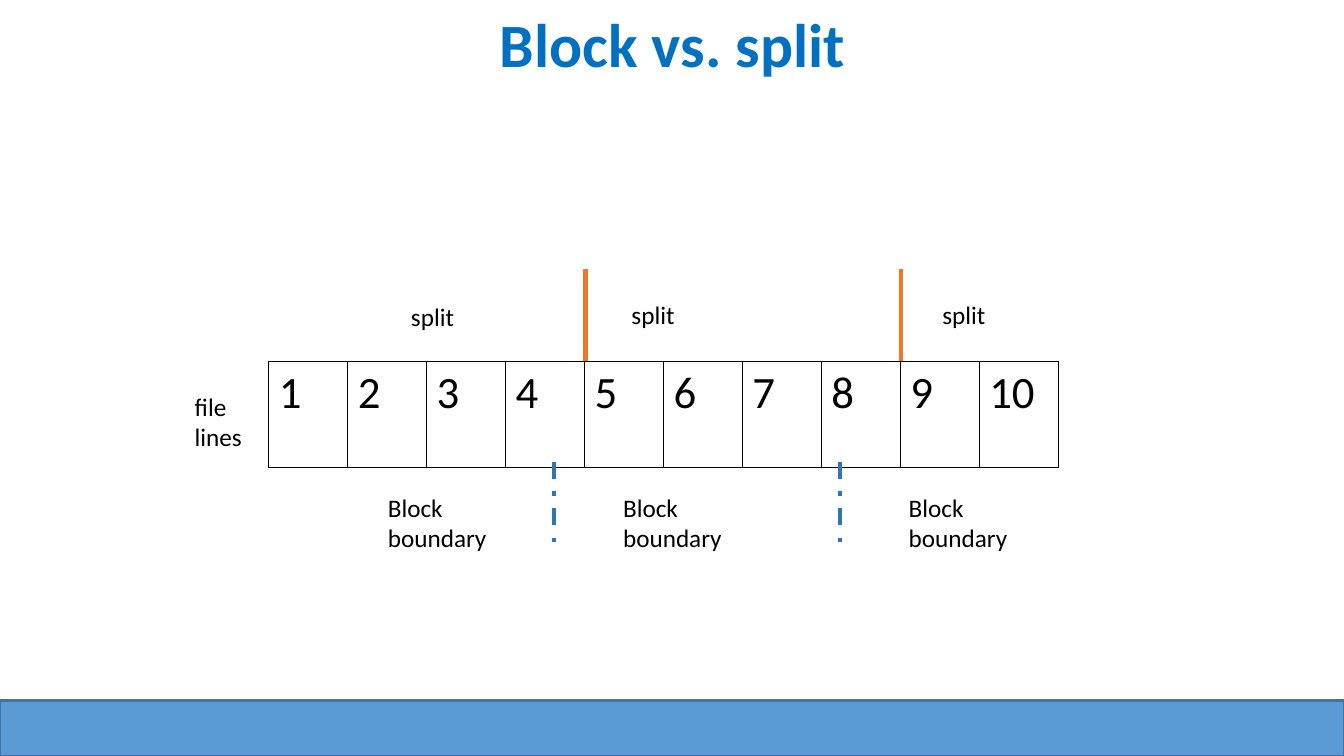
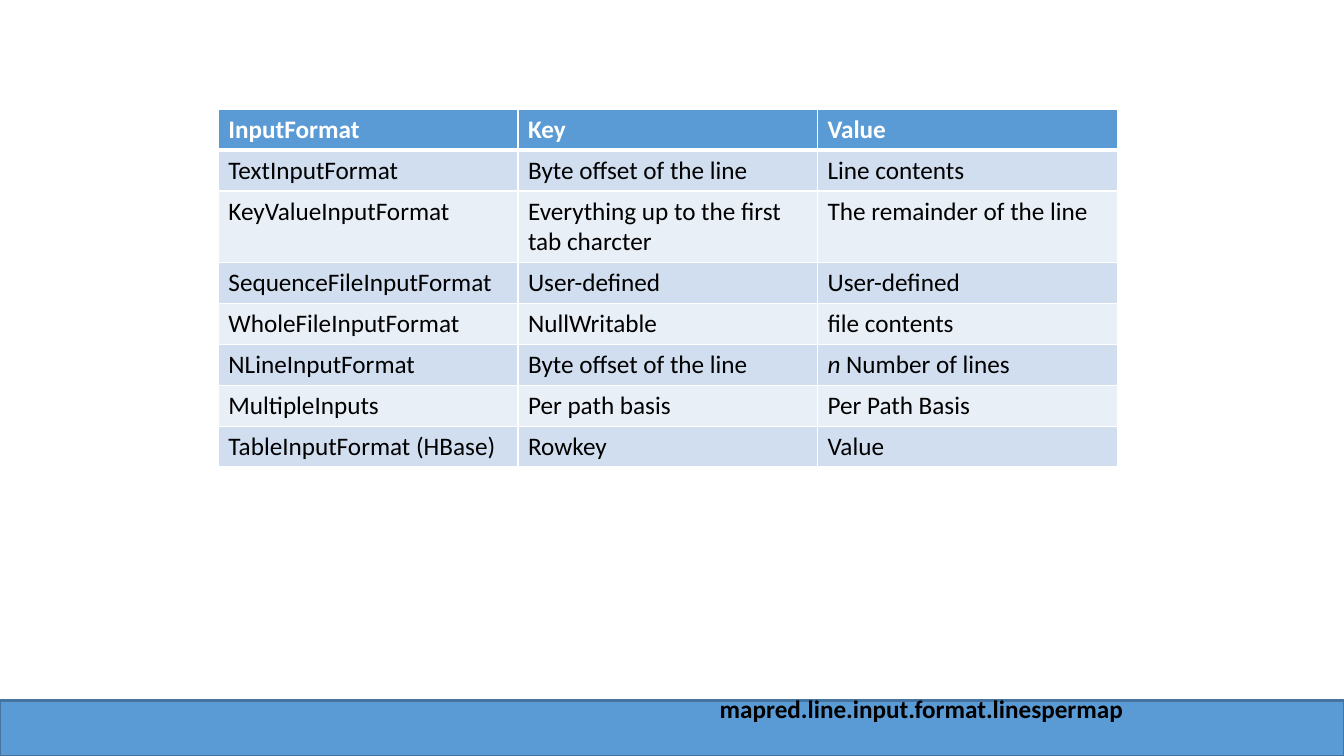
from lxml.etree import SubElement
from pptx import Presentation
from pptx.dml.color import RGBColor
from pptx.enum.dml import MSO_LINE
from pptx.enum.shapes import MSO_CONNECTOR, MSO_SHAPE
from pptx.enum.text import MSO_ANCHOR, MSO_AUTO_SIZE, PP_ALIGN
from pptx.oxml.ns import qn
from pptx.util import Pt

BLACK = RGBColor(0x00, 0x00, 0x00)
WHITE = RGBColor(0xFF, 0xFF, 0xFF)
TITLE_BLUE = RGBColor(0x00, 0x70, 0xC0)
BAND_BLUE = RGBColor(0x5B, 0x9B, 0xD5)
BAND_EDGE = RGBColor(0x43, 0x73, 0x9E)
BOUNDARY_BLUE = RGBColor(0x2E, 0x75, 0xB6)
SPLIT_ORANGE = RGBColor(0xEC, 0x79, 0x2A)
ROW_DARK = RGBColor(0xD1, 0xDE, 0xEF)
ROW_LIGHT = RGBColor(0xE9, 0xEF, 0xF7)

TITLE_ONLY, BLANK = 5, 6
INPUT_FORMATS = [
    ("InputFormat", "Key", "Value"),
    ("TextInputFormat", "Byte offset of the line", "Line contents"),
    ("KeyValueInputFormat", "Everything up to the first tab charcter",
     "The remainder of the line"),
    ("SequenceFileInputFormat", "User-defined", "User-defined"),
    ("WholeFileInputFormat", "NullWritable", "file contents"),
    ("NLineInputFormat", "Byte offset of the line", "n"),
    ("MultipleInputs", "Per path basis", "Per Path Basis"),
    ("TableInputFormat (HBase)", "Rowkey", "Value"),
]


class Deck:
    font_name = "Calibri"
    width, height = 960, 540
    band_top = 500.4

    def __init__(self):
        self.presentation = Presentation()
        self.presentation.slide_width = Pt(self.width)
        self.presentation.slide_height = Pt(self.height)
        self.slide = None

    def new_slide(self, title=None):
        layout = self.presentation.slide_layouts[BLANK if title is None else TITLE_ONLY]
        self.slide = self.presentation.slides.add_slide(layout)
        self.band()
        if title is not None:
            self.title(title)

    def format(self, run, size=18, color=BLACK, bold=False, italic=False):
        run.font.name = self.font_name
        run.font.size = Pt(size)
        run.font.color.rgb = color
        run.font.bold = bold
        run.font.italic = italic

    def band(self):
        band = self.slide.shapes.add_shape(
            MSO_SHAPE.RECTANGLE, 0, Pt(self.band_top),
            Pt(self.width), Pt(self.height - self.band_top))
        band.shadow.inherit = False
        band.fill.solid()
        band.fill.fore_color.rgb = BAND_BLUE
        band.line.color.rgb = BAND_EDGE
        band.line.width = Pt(2)

    def title(self, text):
        title = self.slide.shapes.title
        title.left, title.top = Pt(9), Pt(6)
        title.width, title.height = Pt(943), Pt(56)
        frame = title.text_frame
        frame.text = text
        frame.auto_size = MSO_AUTO_SIZE.NONE
        frame.vertical_anchor = MSO_ANCHOR.MIDDLE
        paragraph = frame.paragraphs[0]
        paragraph.alignment = PP_ALIGN.CENTER
        paragraph.line_spacing = 0.9
        self.format(paragraph.runs[0], 44, TITLE_BLUE, bold=True)

    def label(self, text, left, top, width, height, bold=False, wrap=True):
        box = self.slide.shapes.add_textbox(Pt(left), Pt(top), Pt(width), Pt(height))
        frame = box.text_frame
        frame.word_wrap = wrap
        if not wrap:
            frame.auto_size = MSO_AUTO_SIZE.SHAPE_TO_FIT_TEXT
        frame.text = text
        self.format(frame.paragraphs[0].runs[0], bold=bold)

    def vertical_line(self, x, top, bottom, color, dash=None):
        line = self.slide.shapes.add_connector(
            MSO_CONNECTOR.STRAIGHT, Pt(x), Pt(top), Pt(x), Pt(bottom))
        line.line.color.rgb = color
        line.line.width = Pt(3)
        line.line.dash_style = dash
        SubElement(line._element.spPr, qn("a:effectLst"))

    def table(self, rows, left, top, column_width, row_heights):
        table = self.slide.shapes.add_table(
            len(rows), len(rows[0]), Pt(left), Pt(top),
            Pt(column_width * len(rows[0])), Pt(sum(row_heights))).table
        table.first_row = table.horz_banding = False
        for column in table.columns:
            column.width = Pt(column_width)
        for row, height, texts in zip(table.rows, row_heights, rows):
            row.height = Pt(height)
            for cell, text in zip(row.cells, texts):
                cell.text_frame.text = text
        return table

    def style_cell(self, cell, border, fill=None, bottom_width=0.96, **font):
        properties = cell._tc.get_or_add_tcPr()
        for side in ("lnL", "lnR", "lnT", "lnB"):
            width = bottom_width if side == "lnB" else 0.96
            edge = SubElement(properties, qn(f"a:{side}"), w=str(int(Pt(width))))
            solid = SubElement(edge, qn("a:solidFill"))
            SubElement(solid, qn("a:srgbClr"), val=str(border))
        if fill is None:
            cell.fill.background()
        else:
            cell.fill.solid()
            cell.fill.fore_color.rgb = fill
        for run in cell.text_frame.paragraphs[0].runs:
            self.format(run, **font)

    def save(self):
        self.presentation.save("out.pptx")


def block_slide(deck):
    deck.new_slide("Block vs. split")
    left, top, line_width, line_height = 192, 258, 56.4, 76
    file_lines = [[str(number) for number in range(1, 11)]]
    table = deck.table(file_lines, left, top, line_width, [line_height])
    for cell in table.iter_cells():
        deck.style_cell(cell, BLACK, size=32)

    for x in (270, 438, 642):
        deck.label("Block boundary", x, 348, 102, 50)
    deck.label("file lines", 132, 276, 72, 50)
    for x, y in ((286.5, 211.5), (444, 210), (666, 210)):
        deck.label("split", x, y, 72, 29)
    for x in (396, 600):
        deck.vertical_line(x, 330, 396, BOUNDARY_BLUE, MSO_LINE.DASH_DOT)
    for lines_before in (4, 8):
        deck.vertical_line(left + lines_before * line_width + 0.6, 192, top, SPLIT_ORANGE)


def formats_slide(deck):
    deck.new_slide()
    heights = [51 if "first tab" in row[1] else 29.2 for row in INPUT_FORMATS]
    table = deck.table(INPUT_FORMATS, 156, 78, 214, heights)
    table.first_row = True
    for index, row in enumerate(table.rows):
        for cell in row.cells:
            if index == 0:
                deck.style_cell(cell, WHITE, BAND_BLUE, 3, color=WHITE, bold=True)
            else:
                deck.style_cell(cell, WHITE, ROW_DARK if index % 2 else ROW_LIGHT)

    line_count = table.cell(5, 2).text_frame.paragraphs[0]
    deck.format(line_count.runs[0], italic=True)
    unit = line_count.add_run()
    unit.text = " Number of lines"
    deck.format(unit)
    deck.label("mapred.line.input.format.linespermap", 507, 492, 304, 29,
               bold=True, wrap=False)


def main():
    deck = Deck()
    block_slide(deck)
    formats_slide(deck)
    deck.save()


if __name__ == "__main__":
    main()
